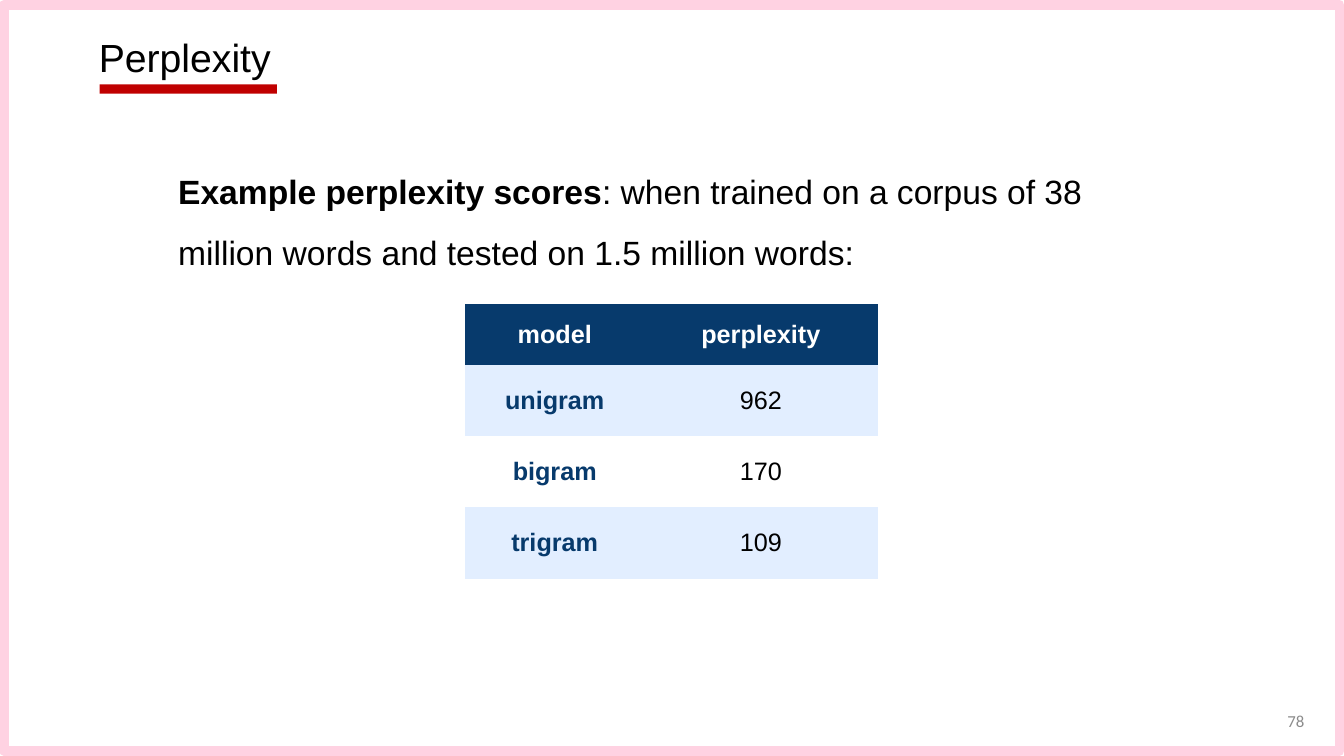
from dataclasses import dataclass

import pptx
import pptx.dml.color
import pptx.enum.shapes
import pptx.enum.text
import pptx.oxml
import pptx.oxml.ns
import pptx.util

Cm = pptx.util.Cm
Pt = pptx.util.Pt
Align = pptx.enum.text.PP_ALIGN
Anchor = pptx.enum.text.MSO_ANCHOR

COLORS = {
    "black": "000000",
    "white": "FFFFFF",
    "pink": "FFD2E2",
    "red": "C00000",
    "navy": "073A6C",
    "pale": "E2EEFF",
    "gray": "8C8C8C",
}


@dataclass
class Area:
    left: float
    top: float
    width: float
    height: float

    def lengths(self) -> tuple:
        return Cm(self.left), Cm(self.top), Cm(self.width), Cm(self.height)


@dataclass
class Score:
    model: str
    perplexity: int


SCORES = [Score("unigram", 962), Score("bigram", 170), Score("trigram", 109)]
COLUMN_WIDTHS = [4.5, 5.89]
ROW_HEIGHTS = [1.53, 1.78, 1.8, 1.8]


def rgb(color: str) -> pptx.dml.color.RGBColor:
    return pptx.dml.color.RGBColor.from_string(COLORS[color])


def add_span(para, text: str, *, size: float, color: str = "black",
             bold: bool = False, font: str = "Arial") -> None:
    span = para.add_run()
    span.text = text
    span.font.name = font
    span.font.size = Pt(size)
    span.font.bold = bold
    span.font.color.rgb = rgb(color)


def add_box(page, area: Area, anchor=Anchor.TOP):
    """Add a wrapping text box and return its first paragraph."""
    frame = page.shapes.add_textbox(*area.lengths()).text_frame
    frame.word_wrap = True
    frame.vertical_anchor = anchor
    return frame.paragraphs[0]


def add_rectangle(page, area: Area, fill: str, line: str = "", weight: float = 0) -> None:
    shape = page.shapes.add_shape(
        pptx.enum.shapes.MSO_SHAPE.RECTANGLE, *area.lengths())
    shape.shadow.inherit = False
    shape.fill.solid()
    shape.fill.fore_color.rgb = rgb(fill)
    if line:
        shape.line.color.rgb = rgb(line)
        shape.line.width = Pt(weight)
    else:
        shape.line.fill.background()


def fill_cell(cell, text: str, *, fill: str, color: str, bold: bool) -> None:
    cell.fill.solid()
    cell.fill.fore_color.rgb = rgb(fill)
    cell.vertical_anchor = Anchor.MIDDLE
    cell.margin_left = cell.margin_right = Cm(0.1)
    cell.margin_top = cell.margin_bottom = Cm(0.1)
    para = cell.text_frame.paragraphs[0]
    para.alignment = Align.CENTER
    add_span(para, text, size=18, color=color, bold=bold)
    # Borderless cell: the edge elements come before the fill
    properties = cell._tc.get_or_add_tcPr()
    for position, edge in enumerate(("lnL", "lnR", "lnT", "lnB")):
        properties.insert(position, pptx.oxml.parse_xml(
            f'<a:{edge} {pptx.oxml.ns.nsdecls("a")} w="0"><a:noFill/></a:{edge}>'))


def add_score_table(page, area: Area) -> None:
    table = page.shapes.add_table(
        len(ROW_HEIGHTS), len(COLUMN_WIDTHS), *area.lengths()).table
    for column, width in zip(table.columns, COLUMN_WIDTHS):
        column.width = Cm(width)
    for row, height in zip(table.rows, ROW_HEIGHTS):
        row.height = Cm(height)
    for column, heading in enumerate(("model", "perplexity")):
        fill_cell(table.cell(0, column), heading, fill="navy", color="white", bold=True)
    for row, score in enumerate(SCORES, start=1):
        band = "pale" if row % 2 else "white"
        fill_cell(table.cell(row, 0), score.model, fill=band, color="navy", bold=True)
        fill_cell(table.cell(row, 1), str(score.perplexity),
                  fill=band, color="black", bold=False)


def main() -> None:
    deck = pptx.Presentation()
    deck.slide_width, deck.slide_height = Cm(33.87), Cm(19.05)
    page = deck.slides.add_slide(deck.slide_layouts[6])

    # Frame and page number
    add_rectangle(page, Area(0.11, 0.12, 33.65, 18.8), "white", line="pink", weight=7)
    para = add_box(page, Area(25.5, 17.65, 7.62, 1.02), Anchor.MIDDLE)
    para.alignment = Align.RIGHT
    add_span(para, "78", size=12, color="gray", font="Calibri")

    # Title
    para = add_box(page, Area(2.24, 0.84, 24.84, 3.23))
    para.line_spacing = 0.9
    add_span(para, "Perplexity", size=28)

    # Introduction
    para = add_box(page, Area(4.24, 3.68, 25.37, 12.07))
    para.line_spacing = 1.5
    para.space_before = Pt(10)
    add_span(para, "Example perplexity scores", size=24, bold=True)
    add_span(para, ": when trained on a corpus of 38 million words "
                   "and tested on 1.5 million words:", size=24)

    # Scores
    add_score_table(page, Area(11.73, 7.67, sum(COLUMN_WIDTHS), sum(ROW_HEIGHTS)))

    # Title underline
    add_rectangle(page, Area(2.51, 2.13, 4.47, 0.23), "red")

    deck.save("out.pptx")


if __name__ == "__main__":
    main()
